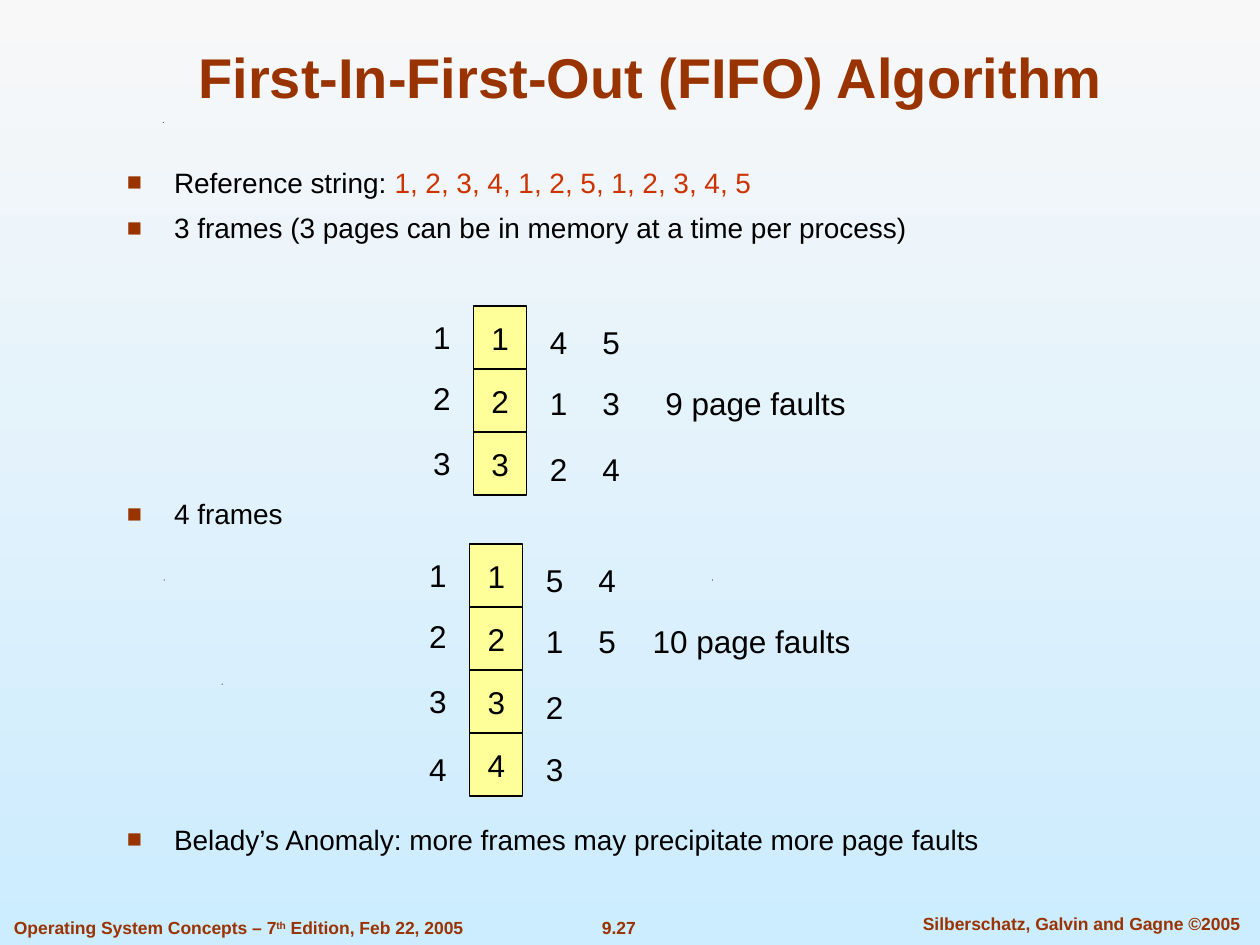
"""Build the slide on the first-in-first-out page replacement algorithm."""
from dataclasses import dataclass

from lxml.etree import SubElement
from pptx import Presentation
from pptx.dml.color import RGBColor
from pptx.enum.shapes import MSO_SHAPE
from pptx.enum.text import MSO_ANCHOR, MSO_AUTO_SIZE, PP_ALIGN
from pptx.oxml.ns import qn
from pptx.util import Cm, Pt


@dataclass(frozen=True)
class Theme:
    font: str = "Arial"
    accent: str = "993300"
    highlight: str = "CC3300"
    ink: str = "000000"
    cell: str = "FFFF99"
    sky_top: str = "F8F8F8"
    sky_bottom: str = "CCECFF"
    title_size: int = 32
    bullet_size: int = 16
    number_size: int = 18
    footer_size: int = 10


THEME = Theme()
TITLE = "First-In-First-Out (FIFO) Algorithm"
BULLETS = [
    (0, [("Reference string: ", THEME.ink),
         ("1, 2, 3, 4, 1, 2, 5, 1, 2, 3, 4, 5", THEME.highlight)]),
    (7, [("3 frames (3 pages can be in memory at a time per process)", THEME.ink)]),
    (144, [("4 frames", THEME.ink)]),
    (166.8, [("Belady’s Anomaly: more frames may precipitate more page faults", THEME.ink)]),
]
FRAME_SETS = [
    {"left": 9.55, "top": 6.17, "frames": "123", "loads": ["412", "534"],
     "faults": "9 page faults", "faults_offset": 3.61, "faults_width": 4.14},
    {"left": 9.47, "top": 10.97, "frames": "1234", "loads": ["5123", "45"],
     "faults": "10 page faults", "faults_offset": 3.43, "faults_width": 4.5},
]
FOOTERS = [
    ((0.03, 18.36, 10.5, 0.69), PP_ALIGN.LEFT, True,
     [("Operating System Concepts – 7", 0), ("th", 30000), (" Edition, Feb 22, 2005", 0)]),
    ((11.23, 18.36, 2.49, 0.69), PP_ALIGN.CENTER, False, [("9.27", 0)]),
    ((18.03, 18.29, 7.54, 0.69), PP_ALIGN.CENTER, True,
     [("Silberschatz, Galvin and Gagne ©2005", 0)]),
]
SPECKS = [(4.47, 13.78), (3.3, 11.68), (14.35, 11.68), (3.28, 2.46)]
SPECK_SIZE = 0.02
CELL_WIDTH, CELL_HEIGHT = 1.07, 1.27
LABEL_WIDTH, LABEL_HEIGHT = 0.86, 1.02
INDEX_OFFSET, LOAD_OFFSETS = -1.07, (1.28, 2.34)
INDEX_ROWS = (0.11, 1.34, 2.66, 4.03)
LOAD_ROWS = (0.22, 1.45, 2.77, 4.03)


def color(code):
    return RGBColor.from_string(code)


def add_span(para, text, size, code, bold=False):
    span = para.add_run()
    span.text = text
    span.font.name = THEME.font
    span.font.size = Pt(size)
    span.font.bold = bold
    span.font.color.rgb = color(code)
    return span


def add_box(page, area, wrap=False, grow=True):
    box = page.shapes.add_textbox(*map(Cm, area))
    box.text_frame.word_wrap = wrap
    box.text_frame.auto_size = MSO_AUTO_SIZE.SHAPE_TO_FIT_TEXT if grow else MSO_AUTO_SIZE.NONE
    return box


def write_number(shape, text):
    frame = shape.text_frame
    frame.vertical_anchor = MSO_ANCHOR.MIDDLE
    frame.word_wrap = False
    frame.paragraphs[0].alignment = PP_ALIGN.CENTER
    add_span(frame.paragraphs[0], text, THEME.number_size, THEME.ink)


def add_label(page, left, top, text, width=LABEL_WIDTH):
    write_number(add_box(page, (left, top, width, LABEL_HEIGHT)), text)


def add_cell(page, left, top, text):
    cell = page.shapes.add_shape(
        MSO_SHAPE.RECTANGLE, Cm(left), Cm(top), Cm(CELL_WIDTH), Cm(CELL_HEIGHT))
    cell.shadow.inherit = False
    cell.fill.solid()
    cell.fill.fore_color.rgb = color(THEME.cell)
    cell.line.color.rgb = color(THEME.ink)
    cell.line.width = Pt(0.75)
    write_number(cell, text)


def add_frame_set(page, group):
    left, top = group["left"], group["top"]
    for row, number in enumerate(group["frames"]):
        add_cell(page, left, top + row * CELL_HEIGHT, number)
        add_label(page, left + INDEX_OFFSET, top + INDEX_ROWS[row], number)
    for offset, column in zip(LOAD_OFFSETS, group["loads"]):
        for row, number in zip(LOAD_ROWS, column):
            add_label(page, left + offset, top + row, number)
    add_label(page, left + group["faults_offset"], top + LOAD_ROWS[1],
              group["faults"], group["faults_width"])


def set_bullet(para):
    properties = para._p.get_or_add_pPr()
    properties.set("marL", str(Cm(0.95)))
    properties.set("indent", str(-Cm(0.95)))
    tint = SubElement(properties, qn("a:buClr"))
    SubElement(tint, qn("a:srgbClr"), val=THEME.accent)
    SubElement(properties, qn("a:buSzPct"), val="90000")
    SubElement(properties, qn("a:buFont"), typeface=THEME.font)
    SubElement(properties, qn("a:buChar"), char="■")


def add_bullets(page):
    frame = add_box(page, (2.31, 3.2, 19.53, 14.58), wrap=True, grow=False).text_frame
    frame.margin_top = Cm(0.13)
    for index, (space, spans) in enumerate(BULLETS):
        para = frame.add_paragraph() if index else frame.paragraphs[0]
        para.space_before = Pt(space)
        set_bullet(para)
        for text, code in spans:
            add_span(para, text, THEME.bullet_size, code)


def add_title(page):
    title = page.shapes.title
    title.left, title.top, title.width, title.height = map(Cm, (1.9, 0.64, 22.43, 1.7))
    title.text_frame.vertical_anchor = MSO_ANCHOR.BOTTOM
    title.text_frame.auto_size = MSO_AUTO_SIZE.NONE
    para = title.text_frame.paragraphs[0]
    para.alignment = PP_ALIGN.CENTER
    add_span(para, TITLE, THEME.title_size, THEME.accent, bold=True)


def add_footer(page, area, alignment, wrap, spans):
    para = add_box(page, area, wrap).text_frame.paragraphs[0]
    para.alignment = alignment
    for text, baseline in spans:
        span = add_span(para, text, THEME.footer_size, THEME.accent, bold=True)
        if baseline:
            span._r.get_or_add_rPr().set("baseline", str(baseline))


def add_speck(page, left, top):
    outline = page.shapes.build_freeform(Cm(left), Cm(top + SPECK_SIZE))
    outline.add_line_segments([(Cm(left + SPECK_SIZE), Cm(top)),
                               (Cm(left + SPECK_SIZE), Cm(top + SPECK_SIZE))])
    speck = outline.convert_to_shape()
    speck.shadow.inherit = False
    speck.fill.solid()
    speck.fill.fore_color.rgb = color(THEME.ink)
    speck.line.fill.background()


def paint_background(page):
    fill = page.background.fill
    fill.gradient()
    fill.gradient_angle = 270
    for stop, code in zip(fill.gradient_stops, (THEME.sky_top, THEME.sky_bottom)):
        stop.color.rgb = color(code)


def main():
    deck = Presentation()
    deck.slide_width, deck.slide_height = Cm(25.4), Cm(19.05)
    page = deck.slides.add_slide(deck.slide_layouts[5])
    paint_background(page)
    for speck in SPECKS:
        add_speck(page, *speck)
    for footer in FOOTERS:
        add_footer(page, *footer)
    add_title(page)
    add_bullets(page)
    for group in FRAME_SETS:
        add_frame_set(page, group)
    deck.save("out.pptx")


if __name__ == "__main__":
    main()
